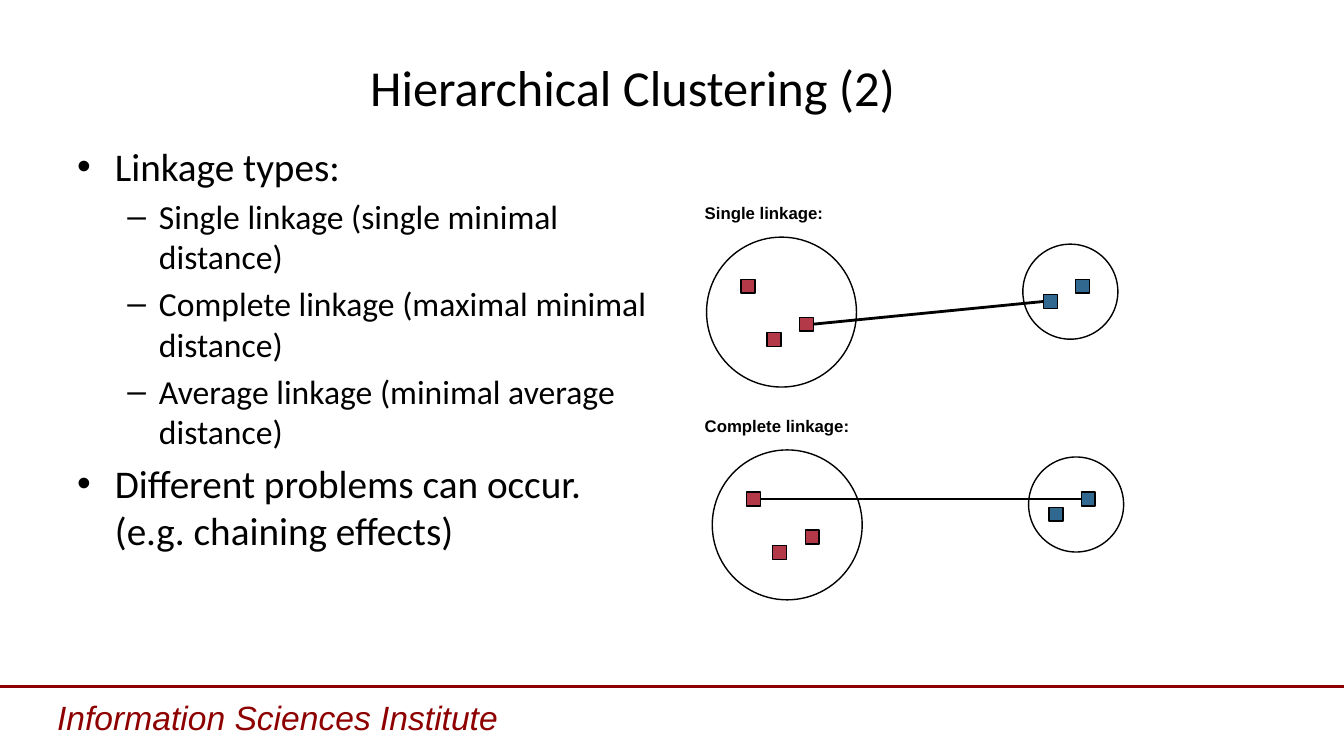
from dataclasses import dataclass

from lxml.etree import SubElement
from pptx import Presentation
from pptx.dml.color import RGBColor as Rgb
from pptx.enum.shapes import MSO_CONNECTOR as Connector, MSO_SHAPE as Preset
from pptx.enum.text import MSO_ANCHOR as Anchor, PP_ALIGN as Align
from pptx.oxml.ns import qn
from pptx.util import Pt


@dataclass(frozen=True)
class Theme:
    black: Rgb = Rgb(0x00, 0x00, 0x00)
    maroon: Rgb = Rgb(0x8E, 0x00, 0x00)
    red: Rgb = Rgb(0xB4, 0x39, 0x48)
    blue: Rgb = Rgb(0x30, 0x68, 0x8F)
    body_font: str = "Calibri"
    label_font: str = "Arial"
    title_size: int = 36
    item_size: int = 28
    subitem_size: int = 24
    footer_size: int = 24
    label_size: int = 12


THEME = Theme()

BULLETS = [
    (0, "Linkage types:"),
    (1, "Single linkage (single minimal distance)"),
    (1, "Complete linkage (maximal minimal distance)"),
    (1, "Average linkage (minimal average distance)"),
    (0, "Different problems can occur. (e.g. chaining effects)"),
]
# Per level: mark, left margin, hanging indent, size, space before
LEVELS = [
    ("•", 27, 27, THEME.item_size, 5.6),
    ("–", 58.5, 22.5, THEME.subitem_size, 4.8),
]

# Cluster geometry, shared by both panels: left, top, diameter
CLUSTERS = [(504.7, 169.4, 107.1), (730.6, 174.4, 67.9)]
POINT_SIZE = 9.9
RED_POINTS = [(547.9, 237.6), (571.1, 226.6), (529.3, 199.5)]
BLUE_POINTS = [(745.3, 210.4), (768.3, 199.5)]
LABEL_LEFT, LABEL_TOP = 503.4, 144.8
# Label, linked red point, linked blue point
PANELS = [("Single linkage:", 1, 0), ("Complete linkage:", 2, 1)]
PANEL_SHIFT = (4.1, 152)


def apply_format(target, values):
    for name, value in values.items():
        setattr(target, name, value)


def add_span(para, text, size, color=THEME.black, **style):
    span = para.add_run()
    span.text = text
    span.font.color.rgb = color
    apply_format(span.font, {"size": Pt(size), "name": THEME.body_font, **style})


def add_box(page, left, top, width, height, insets=(0, 0, 0, 0), wrap=True):
    box = page.shapes.add_textbox(Pt(left), Pt(top), Pt(width), Pt(height))
    sides = ("margin_left", "margin_top", "margin_right", "margin_bottom")
    margins = {side: Pt(inset) for side, inset in zip(sides, insets)}
    apply_format(box.text_frame, {
        "word_wrap": wrap, "vertical_anchor": Anchor.TOP, **margins})
    return box.text_frame


def add_line(page, start, end, width, color=THEME.black):
    line = page.shapes.add_connector(
        Connector.STRAIGHT, *(Pt(value) for value in (*start, *end)))
    line.line.width = Pt(width)
    line.line.color.rgb = color
    SubElement(line._element.spPr, qn("a:effectLst"))


def add_mark(page, preset, left, top, size, fill=None):
    mark = page.shapes.add_shape(preset, Pt(left), Pt(top), Pt(size), Pt(size))
    mark.shadow.inherit = False
    mark.line.width = Pt(1)
    mark.line.color.rgb = THEME.black
    if fill is None:
        mark.fill.background()
    else:
        mark.fill.solid()
        mark.fill.fore_color.rgb = fill


def add_bullet(para, mark, margin, hanging):
    props = para._p.get_or_add_pPr()
    props.set("marL", str(Pt(margin)))
    props.set("indent", str(-Pt(hanging)))
    color = SubElement(props, qn("a:buClr"))
    SubElement(color, qn("a:srgbClr"), val=str(THEME.black))
    SubElement(props, qn("a:buFont"), typeface=THEME.label_font)
    SubElement(props, qn("a:buChar"), char=mark)


def add_title(page):
    frame = add_box(page, 48, 17.3, 808, 50.4, insets=(0, 22.7, 0, 0))
    para = frame.paragraphs[0]
    para.alignment = Align.CENTER
    add_span(para, "Hierarchical Clustering (2)", THEME.title_size)


def add_body(page):
    frame = add_box(page, 48, 97.9, 424, 384.5, insets=(7.2, 3.6, 7.2, 3.6))
    for index, (level, text) in enumerate(BULLETS):
        mark, margin, hanging, size, gap = LEVELS[level]
        para = frame.add_paragraph() if index else frame.paragraphs[0]
        add_bullet(para, mark, margin, hanging)
        apply_format(para, {"level": level, "space_before": Pt(gap if index else 0)})
        add_span(para, text, size)


def add_panel(page, index, label, red, blue):
    dx, dy = (index * shift for shift in PANEL_SHIFT)
    frame = add_box(page, LABEL_LEFT, LABEL_TOP + dy, 105, 14.4, wrap=False)
    add_span(frame.paragraphs[0], label, THEME.label_size,
             name=THEME.label_font, bold=True)

    # Clusters and their points
    for left, top, diameter in CLUSTERS:
        add_mark(page, Preset.OVAL, left + dx, top + dy, diameter)
    for points, fill in ((RED_POINTS, THEME.red), (BLUE_POINTS, THEME.blue)):
        for left, top in points:
            add_mark(page, Preset.RECTANGLE, left + dx, top + dy, POINT_SIZE, fill)

    # Link from the right edge of the red point to the left edge of the blue one
    (red_x, red_y), (blue_x, blue_y) = RED_POINTS[red], BLUE_POINTS[blue]
    middle = dy + POINT_SIZE / 2
    add_line(page, (red_x + dx + POINT_SIZE, red_y + middle),
             (blue_x + dx, blue_y + middle), 2)


def add_footer(page):
    add_line(page, (0, 490.3), (960, 490.3), 2.25, THEME.maroon)
    frame = add_box(page, 33.8, 494.6, 473, 36.7, insets=(7.2, 3.6, 7.2, 3.6))
    add_span(frame.paragraphs[0], "Information Sciences Institute",
             THEME.footer_size, THEME.maroon, name=THEME.label_font, italic=True)


def main():
    deck = Presentation()
    apply_format(deck, {"slide_width": Pt(960), "slide_height": Pt(540)})
    page = deck.slides.add_slide(deck.slide_layouts[6])
    add_footer(page)
    add_title(page)
    add_body(page)
    for index, panel in enumerate(PANELS):
        add_panel(page, index, *panel)
    deck.save("out.pptx")


if __name__ == "__main__":
    main()
